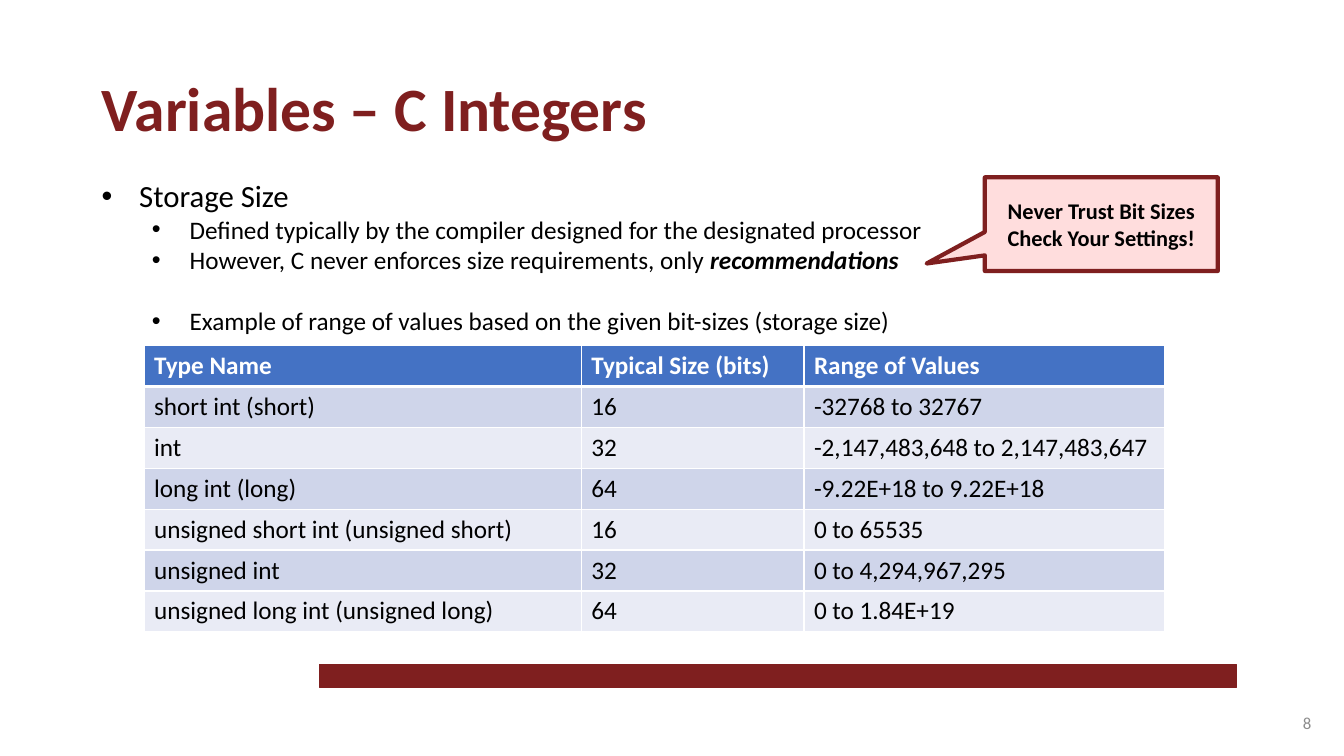
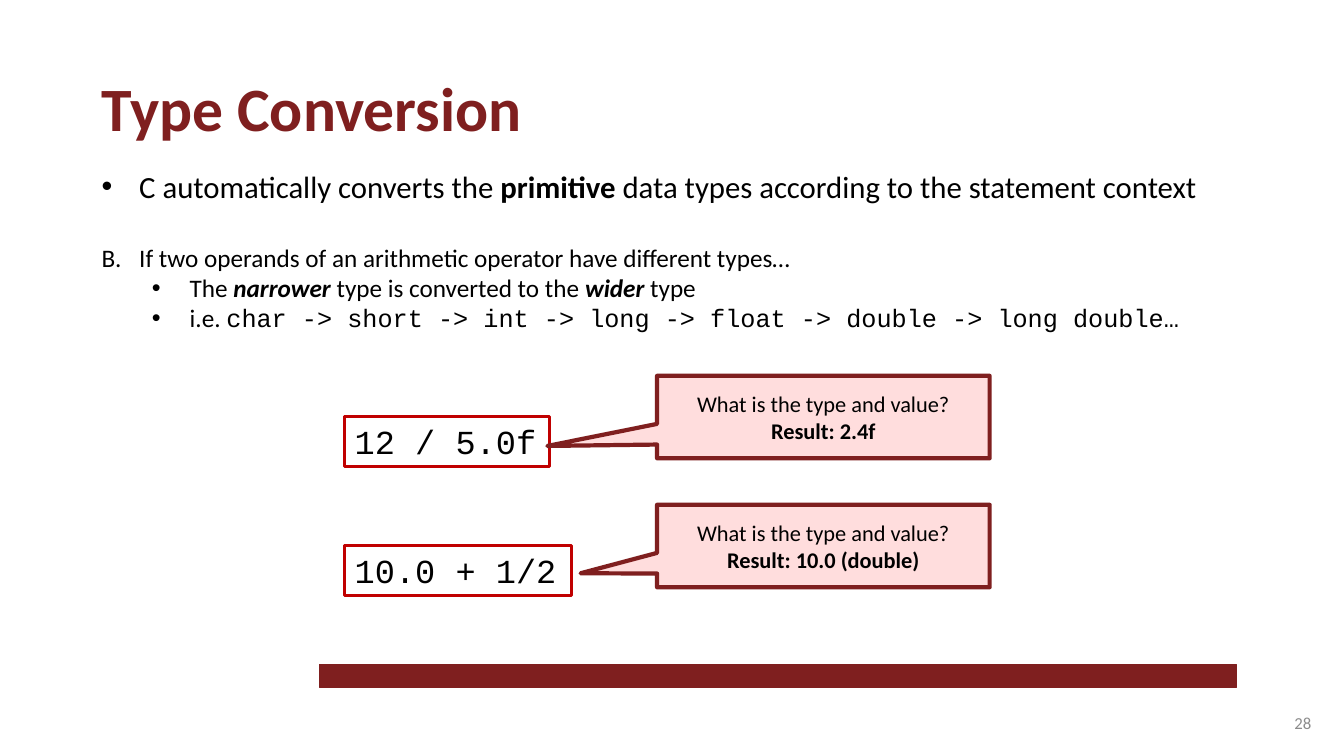
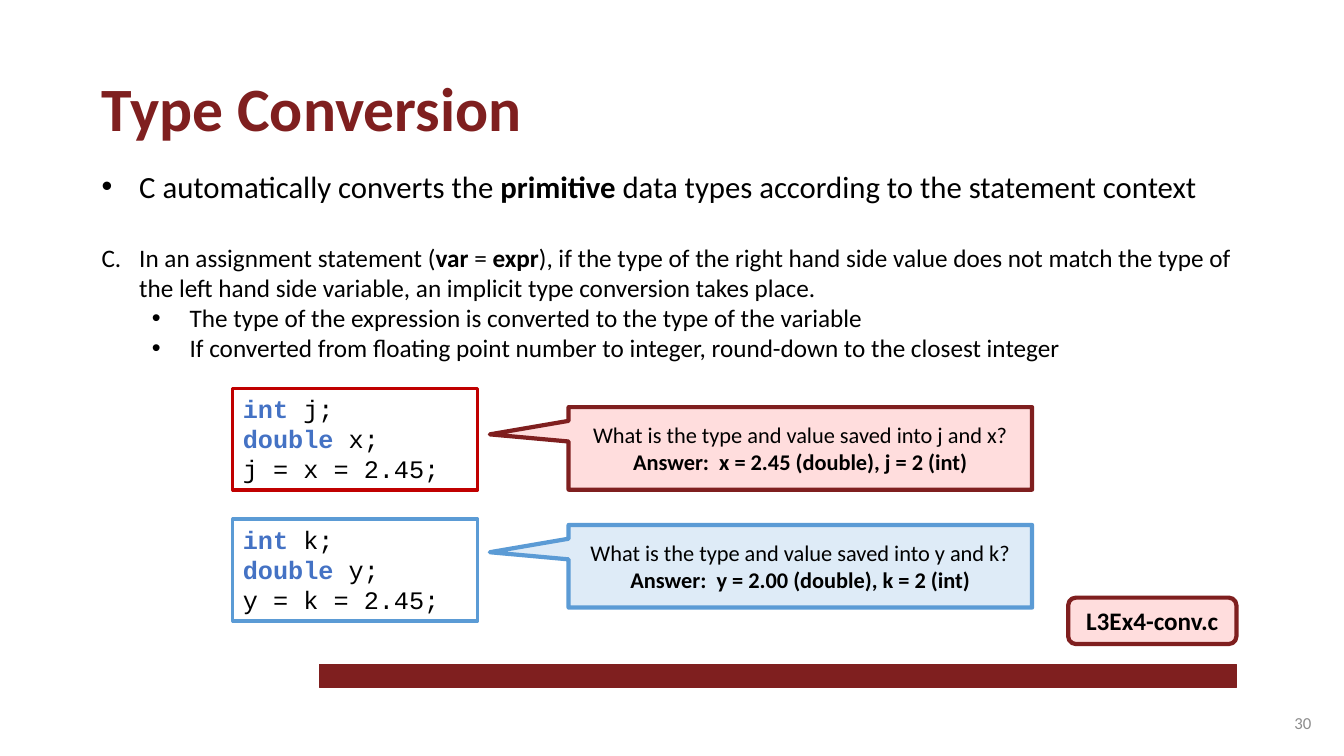
import dataclasses

import lxml.etree
import pptx
import pptx.dml.color
import pptx.enum.shapes
import pptx.enum.text
import pptx.oxml.ns
import pptx.util

Cm = pptx.util.Cm
Pt = pptx.util.Pt
Rgb = pptx.dml.color.RGBColor.from_string
Shape = pptx.enum.shapes.MSO_SHAPE
Align = pptx.enum.text.PP_ALIGN
Anchor = pptx.enum.text.MSO_ANCHOR


@dataclasses.dataclass(frozen=True)
class Theme:
    """Colours, fonts and type sizes of the deck."""
    maroon: str = "7F1F1F"
    pink: str = "FFDDDD"
    red: str = "C00000"
    blue: str = "5B9BD5"
    pale_blue: str = "DEEBF7"
    accent: str = "4472C4"
    bands: tuple = ("E9EBF5", "CFD5EA")
    black: str = "000000"
    white: str = "FFFFFF"
    grey: str = "8C8C8C"
    sans: str = "Calibri"
    mono: str = "Courier New"
    title: int = 44
    lead: int = 22
    text: int = 18
    callout: int = 16
    number: int = 12
    formula: int = 24


THEME = Theme()
BOLD = {"bold": True}
STRONG = {"bold": True, "italic": True}
MONO = {"name": THEME.mono}
KEYWORD = {"bold": True, "color": THEME.accent}


def add_child(parent, tag, **attributes):
    """Append a DrawingML element and return it."""
    return lxml.etree.SubElement(parent, pptx.oxml.ns.qn(tag), attributes)


class Deck:
    """Holds the presentation, its style and the current slide."""

    def __init__(self, theme):
        """Start an empty widescreen presentation."""
        self.theme = theme
        self.presentation = pptx.Presentation()
        self.presentation.slide_width = Cm(33.87)
        self.presentation.slide_height = Cm(19.05)
        self.slide = None

    def fill_frame(self, frame, paragraphs, anchor=Anchor.TOP, align=Align.LEFT, **style):
        """Fill a text frame with paragraphs, each a string or a list of runs."""
        frame.word_wrap = True
        frame.auto_size = pptx.enum.text.MSO_AUTO_SIZE.NONE
        frame.vertical_anchor = anchor
        for index, runs in enumerate(paragraphs):
            paragraph = frame.add_paragraph() if index else frame.paragraphs[0]
            self.fill_paragraph(paragraph, runs, align, **style)

    def fill_paragraph(self, paragraph, runs, align=Align.LEFT, **style):
        """Add runs, each a string or a (string, format) pair."""
        paragraph.alignment = align
        defaults = {"name": self.theme.sans, "size": self.theme.text,
                    "color": self.theme.black, "bold": False}
        for item in [runs] if isinstance(runs, str) else runs:
            text, extra = (item, {}) if isinstance(item, str) else item
            run = paragraph.add_run()
            run.text = text
            values = {**defaults, **style, **extra}
            run.font.color.rgb = Rgb(values.pop("color"))
            values["size"] = Pt(values["size"])
            for name, value in values.items():
                setattr(run.font, name, value)

    def start_slide(self, title, number):
        """Add a slide with its title, bottom band and page number."""
        layout = self.presentation.slide_layouts[5]
        self.slide = self.presentation.slides.add_slide(layout)
        self.shape(Shape.RECTANGLE, (8.05, 16.74, 23.11, 0.58),
                   self.theme.maroon, self.theme.maroon, 1)
        heading = self.slide.shapes.title
        place = {"left": 2.31, "top": 1.63, "width": 28, "height": 2.13}
        for name, value in place.items():
            setattr(heading, name, Cm(value))
        self.fill_frame(heading.text_frame, [title], size=self.theme.title,
                        color=self.theme.maroon, bold=True)
        page = self.slide.shapes.add_textbox(*map(Cm, (25.68, 17.7, 7.62, 1.02)))
        self.fill_frame(page.text_frame, [str(number)], Anchor.MIDDLE, Align.RIGHT,
                        size=self.theme.number, color=self.theme.grey)

    def shape(self, kind, box, fill, line, width):
        """Add a filled and outlined preset shape."""
        shape = self.slide.shapes.add_shape(kind, *map(Cm, box))
        shape.shadow.inherit = False
        shape.fill.solid()
        shape.fill.fore_color.rgb = Rgb(fill)
        shape.line.color.rgb = Rgb(line)
        shape.line.width = Pt(width)
        return shape

    def callout(self, box, tail, lines, fill=THEME.pink, line=THEME.maroon):
        """Add a speech callout whose tail ends at the given fractions."""
        shape = self.shape(Shape.RECTANGULAR_CALLOUT, box, fill, line, 3)
        for index, value in enumerate(tail):
            shape.adjustments[index] = value
        self.fill_frame(shape.text_frame, lines, Anchor.MIDDLE, Align.CENTER,
                        size=self.theme.callout)

    def code(self, box, lines, size, line=THEME.red):
        """Add an outlined box of code."""
        shape = self.shape(Shape.RECTANGLE, box, self.theme.white, line, 2.25)
        self.fill_frame(shape.text_frame, lines, size=size, name=self.theme.mono)

    def tag(self, box, text):
        """Add a rounded label with a file name."""
        shape = self.shape(Shape.FLOWCHART_ALTERNATE_PROCESS, box,
                           self.theme.pink, self.theme.maroon, 3)
        self.fill_frame(shape.text_frame, [text], Anchor.MIDDLE, Align.CENTER, bold=True)

    def bullets(self, box, items):
        """Add a list of (kind, space before, runs); a numeric kind is a letter's position."""
        frame = self.slide.shapes.add_textbox(*map(Cm, box)).text_frame
        frame.word_wrap = True
        for index, (kind, space, runs) in enumerate(items):
            paragraph = frame.add_paragraph() if index else frame.paragraphs[0]
            nested = kind == "sub"
            paragraph.level = int(nested)
            properties = paragraph._p.get_or_add_pPr()
            properties.set("marL", str(Cm(2.22 if nested else 0.95)))
            properties.set("indent", str(Cm(-0.95)))
            if isinstance(kind, int):
                add_child(properties, "a:buFont", typeface="+mj-lt")
                add_child(properties, "a:buAutoNum", type="alphaUcPeriod", startAt=str(kind))
            else:
                add_child(properties, "a:buFont", typeface="Arial")
                add_child(properties, "a:buChar", char="•")
            if space:
                paragraph.space_before = Pt(space)
            size = self.theme.lead if kind == "lead" else self.theme.text
            self.fill_paragraph(paragraph, runs, size=size)

    def table(self, left, top, widths, row_height, rows):
        """Add a banded table with a coloured header row."""
        frame = self.slide.shapes.add_table(
            len(rows), len(widths), Cm(left), Cm(top),
            Cm(sum(widths)), Cm(row_height * len(rows)))
        table = frame.table
        table.horz_banding = False
        for column, width in zip(table.columns, widths):
            column.width = Cm(width)
        for row_index, row in enumerate(rows):
            table.rows[row_index].height = Cm(row_height)
            header = row_index == 0
            fill = self.theme.accent if header else self.theme.bands[row_index % 2]
            color = self.theme.white if header else self.theme.black
            edges = {"L": 1, "R": 1, "T": 3 if row_index == 1 else 1, "B": 3 if header else 1}
            for column_index, text in enumerate(row):
                cell = table.cell(row_index, column_index)
                self.borders(cell, edges)
                cell.fill.solid()
                cell.fill.fore_color.rgb = Rgb(fill)
                self.fill_paragraph(cell.text_frame.paragraphs[0], text,
                                    color=color, bold=header)

    def borders(self, cell, edges):
        """Draw white cell borders of the given widths."""
        properties = cell._tc.get_or_add_tcPr()
        for side, width in edges.items():
            line = add_child(properties, "a:ln" + side, w=str(Pt(width)))
            add_child(add_child(line, "a:solidFill"), "a:srgbClr", val=self.theme.white)


def integers_slide(deck):
    """Build the slide on integer sizes."""
    deck.start_slide("Variables – C Integers", 8)
    deck.bullets((2.31, 4.34, 30.1, 4.27), [
        ("lead", 0, "Storage Size"),
        ("sub", 0, "Defined typically by the compiler designed for the designated processor"),
        ("sub", 0, ["However, C never enforces size requirements, only ",
                    ("recommendations", STRONG)]),
        ("sub", 22, "Example of range of values based on the given bit-sizes (storage size)"),
    ])
    deck.callout((24.82, 4.47, 5.87, 2.36), (-0.75, 0.42), [
        [("Never Trust Bit Sizes", BOLD)], [("Check Your Settings!", BOLD)]])
    deck.table(3.63, 8.71, (11.02, 5.61, 9.09), 1.03, [
        ("Type Name", "Typical Size (bits)", "Range of Values"),
        ("short int (short)", "16", "-32768 to 32767"),
        ("int", "32", "-2,147,483,648 to 2,147,483,647"),
        ("long int (long)", "64", "-9.22E+18 to 9.22E+18"),
        ("unsigned short int (unsigned short)", "16", "0 to 65535"),
        ("unsigned int", "32", "0 to 4,294,967,295"),
        ("unsigned long int (unsigned long)", "64", "0 to 1.84E+19"),
    ])


def conversion_slide(deck, number, height, items):
    """Start a type conversion slide with its shared lead line."""
    deck.start_slide("Type Conversion", number)
    lead = ("lead", 0, ["C automatically converts the ", ("primitive", BOLD),
                        " data types according to the statement context"])
    deck.bullets((2.31, 4.09, 29.24, height), [lead, *items])


def operands_slide(deck):
    """Build the slide on mixed operands."""
    conversion_slide(deck, 28, 4.45, [
        (2, 27, "If two operands of an arithmetic operator have different types…"),
        ("sub", 0, ["The ", ("narrower", STRONG), " type is converted to the ",
                    ("wider", STRONG), " type"]),
        ("sub", 0, ["i.e. ", ("char -> short -> int -> long -> float -> double -> long double…",
                              MONO)]),
    ])
    examples = [("12 / 5.0f", 5.16, (-0.83, 0.35), "Result: 2.4f"),
                ("10.0 + 1/2", 5.72, (-0.73, 0.33), "Result: 10.0 (double)")]
    for index, (formula, width, tail, result) in enumerate(examples):
        offset = 3.25 * index
        deck.code((8.69, 10.49 + offset, width, 1.27), [formula], deck.theme.formula)
        deck.callout((16.56, 9.47 + offset, 8.38, 2.08), tail,
                     ["What is the type and value?", [(result, BOLD)]])


def assignment_slide(deck):
    """Build the slide on assignment."""
    theme = deck.theme
    conversion_slide(deck, 30, 5.21, [
        (3, 27, ["In an assignment statement (", ("var", BOLD), " = ", ("expr", BOLD),
                 "), if the type of the right hand side value does not match the type of "
                 "the left hand side variable, an implicit type conversion takes place."]),
        ("sub", 0, "The type of the expression is converted to the type of the variable"),
        ("sub", 0, "If converted from floating point number to integer, "
                   "round-down to the closest integer"),
    ])
    examples = [
        (9.78, 10.26, "j", "x", "j = x = 2.45;", "j and x",
         "x = 2.45 (double), j = 2 (int)", theme.pink, theme.maroon, theme.red),
        (13.08, 13.23, "k", "y", "y = k = 2.45;", "y and k",
         "y = 2.00 (double), k = 2 (int)", theme.pale_blue, theme.blue, theme.blue),
    ]
    for code_top, top, whole, real, statement, names, answer, fill, line, edge in examples:
        deck.code((5.87, code_top, 6.17, 2.57), [
            [("int", KEYWORD), f" {whole};"], [("double", KEYWORD), f" {real};"], statement,
        ], theme.text, edge)
        deck.callout((14.33, top, 11.68, 2.08), (-0.67, -0.17), [
            f"What is the type and value saved into {names}?",
            [(f"Answer:  {answer}", BOLD)]], fill, line)
    deck.tag((26.92, 15.06, 4.24, 1.17), "L3Ex4-conv.c")


def main():
    """Build and save the deck."""
    deck = Deck(THEME)
    for build in (integers_slide, operands_slide, assignment_slide):
        build(deck)
    deck.presentation.save("out.pptx")


if __name__ == "__main__":
    main()
